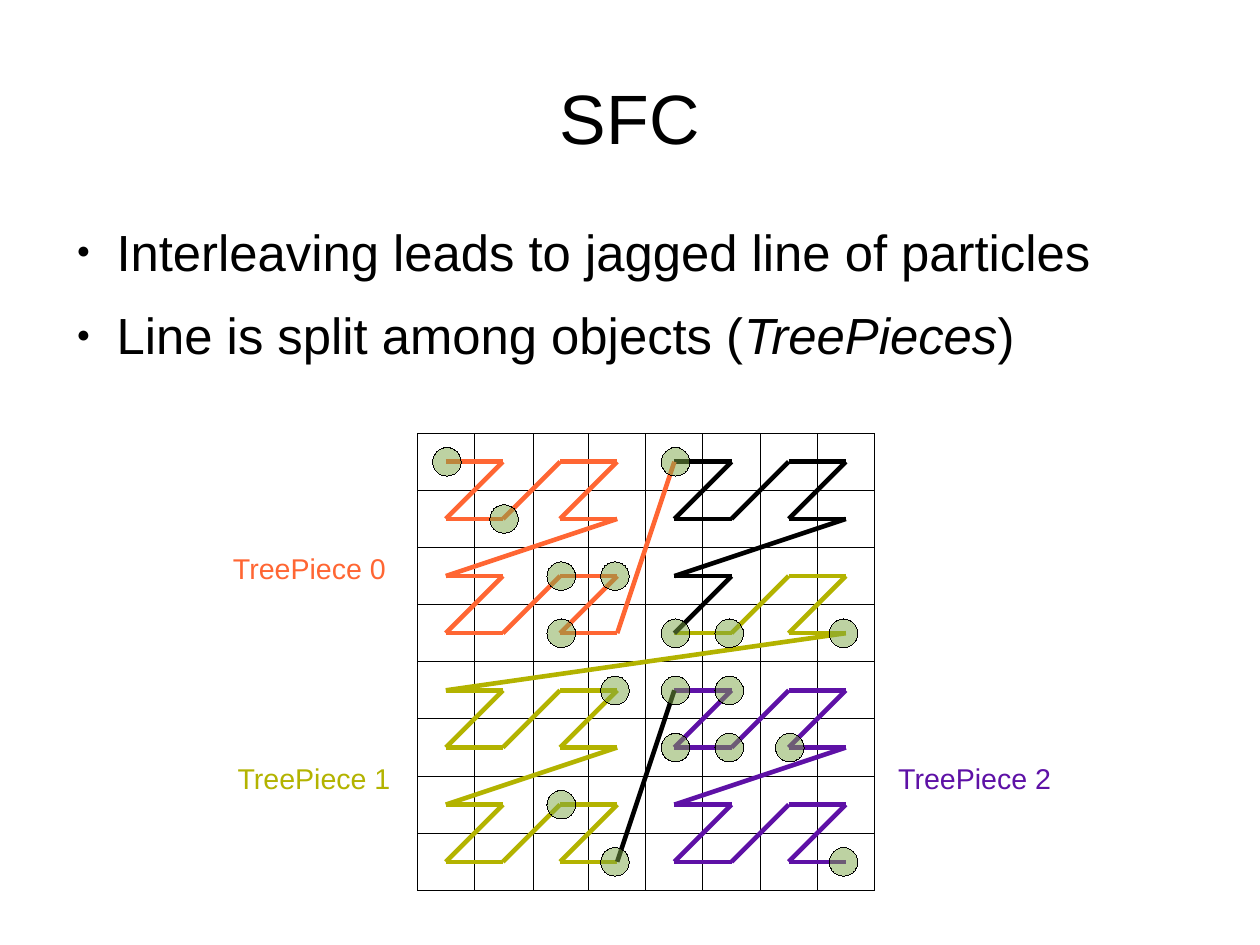
from lxml.etree import SubElement
from pptx import Presentation
from pptx.dml.color import RGBColor
from pptx.enum.shapes import MSO_CONNECTOR, MSO_SHAPE
from pptx.enum.text import MSO_ANCHOR, MSO_AUTO_SIZE, PP_ALIGN
from pptx.oxml.ns import qn
from pptx.util import Cm, Inches, Pt

THEME = {
    "font": "Arial",
    "ink": "000000", "piece 0": "FF6633", "piece 1": "B3B300", "piece 2": "5E11A6",
    "particle": "7DA647", "particle alpha": 50,
    "title size": 44, "bullet size": 32, "label size": 18,
    "hairline": 0.01, "curve width": 2.89,
}

TITLE = "SFC"
BULLETS = [
    [("Interleaving leads to jagged line of particles", False)],
    [("Line is split among objects (", False), ("TreePieces", True), (")", False)],
]
PIECE_LABELS = [
    ("TreePiece 0", "piece 0", 1.94, 4.77),
    ("TreePiece 1", "piece 1", 1.98, 6.61),
    ("TreePiece 2", "piece 2", 7.76, 6.61),
]
CURVE_SECTIONS = [
    (range(0, 16), "piece 0"),
    (range(16, 26), "ink"),
    (range(26, 47), "piece 1"),
    (range(47, 48), "ink"),
    (range(48, 63), "piece 2"),
]
PARTICLE_CELLS = [
    (0, 0), (1, 1), (4, 0), (2, 3), (3, 2), (4, 4), (5, 4), (4, 5), (3, 4),
    (4, 3), (5, 3), (7, 3), (7, 7), (2, 6), (3, 7), (2, 2), (6, 5), (5, 5),
]

CELLS, CELL = 8, 0.5
GRID_LEFT, GRID_TOP, GRID_SIDE = 3.65, 3.79, CELLS * CELL
COLUMN_NUDGE = {2: 0.02}
PARTICLE_SIZE = 0.25
PARTICLE_SHIFT = {3: -0.02, 5: -0.02, 7: -0.02}


def color(name):
    return RGBColor.from_string(THEME[name])


def cell_center(column, row):
    return GRID_LEFT + (column + 0.5) * CELL, GRID_TOP + (row + 0.5) * CELL


def curve_point(index):
    column = sum((index >> 2 * bit & 1) << bit for bit in range(3))
    row = sum((index >> 2 * bit + 1 & 1) << bit for bit in range(3))
    return cell_center(column, row)


def add_text_frame(slide, left, top, width, height, margins=(0, 0)):
    frame = slide.shapes.add_textbox(
        Inches(left), Inches(top), Inches(width), Inches(height)).text_frame
    frame.word_wrap = True
    frame.margin_left = frame.margin_right = Inches(margins[0])
    frame.margin_top = frame.margin_bottom = Inches(margins[1])
    return frame


def add_run(paragraph, text, size, ink="ink", italic=False):
    run = paragraph.add_run()
    run.text = text
    run.font.name = THEME["font"]
    run.font.size = Pt(THEME[size])
    run.font.color.rgb = color(ink)
    run.font.italic = italic


def add_bullet(paragraph):
    paragraph.space_after = Pt(14.2)
    properties = paragraph._p.get_or_add_pPr()
    properties.set("marL", str(Inches(0.47)))
    properties.set("indent", str(Inches(-0.35)))
    bullet_color = SubElement(properties, qn("a:buClr"))
    SubElement(bullet_color, qn("a:srgbClr"), val=THEME["ink"])
    SubElement(properties, qn("a:buSzPct"), val="45000")
    SubElement(properties, qn("a:buFont"), typeface=THEME["font"])
    SubElement(properties, qn("a:buChar"), char="●")


def add_line(slide, start, end, ink, width):
    line = slide.shapes.add_connector(
        MSO_CONNECTOR.STRAIGHT, *(Inches(value) for value in (*start, *end)))
    line.line.color.rgb = color(ink)
    line.line.width = Pt(THEME[width])
    SubElement(line._element.spPr, qn("a:effectLst"))
    return line


def add_outlined(slide, preset, left, top, size):
    shape = slide.shapes.add_shape(
        preset, Inches(left), Inches(top), Inches(size), Inches(size))
    shape.shadow.inherit = False
    shape.line.color.rgb = color("ink")
    shape.line.width = Pt(THEME["hairline"])
    return shape


def add_grid(slide):
    border = add_outlined(slide, MSO_SHAPE.RECTANGLE, GRID_LEFT, GRID_TOP, GRID_SIDE)
    border.fill.background()
    right, bottom = GRID_LEFT + GRID_SIDE, GRID_TOP + GRID_SIDE
    for step in range(1, CELLS):
        y = GRID_TOP + step * CELL
        x = GRID_LEFT + step * CELL + COLUMN_NUDGE.get(step, 0)
        row_line = add_line(slide, (GRID_LEFT, y), (right, y), "ink", "hairline")
        column_line = add_line(slide, (x, GRID_TOP), (x, bottom), "ink", "hairline")
        if step == CELLS // 2:
            row_line.begin_connect(border, 1)
            row_line.end_connect(border, 3)
            column_line.begin_connect(border, 0)
            column_line.end_connect(border, 2)


def add_curve(slide):
    inks = {index: ink for section, ink in CURVE_SECTIONS for index in section}
    for index in sorted(inks, key=lambda i: i ^ (i + 1)):
        add_line(slide, curve_point(index), curve_point(index + 1),
                 inks[index], "curve width")


def add_particle(slide, column, row):
    x, y = cell_center(column, row)
    left = x - PARTICLE_SIZE / 2 + PARTICLE_SHIFT.get(column, 0.01)
    particle = add_outlined(
        slide, MSO_SHAPE.OVAL, left, y - PARTICLE_SIZE / 2, PARTICLE_SIZE)
    particle.fill.solid()
    particle.fill.fore_color.rgb = color("particle")
    tint = particle._element.spPr.find(qn("a:solidFill")).find(qn("a:srgbClr"))
    SubElement(tint, qn("a:alpha"), val=str(THEME["particle alpha"] * 1000))


def main():
    deck = Presentation()
    deck.slide_width, deck.slide_height = Cm(28), Cm(21)
    slide = deck.slides.add_slide(deck.slide_layouts[6])

    title = add_text_frame(slide, 0.55, 0.38, 9.92, 1.28)
    title.vertical_anchor = MSO_ANCHOR.MIDDLE
    title.paragraphs[0].alignment = PP_ALIGN.CENTER
    add_run(title.paragraphs[0], TITLE, "title size")

    body = add_text_frame(slide, 0.55, 1.93, 9.92, 1.57)
    for number, bullet in enumerate(BULLETS):
        paragraph = body.add_paragraph() if number else body.paragraphs[0]
        add_bullet(paragraph)
        for text, italic in bullet:
            add_run(paragraph, text, "bullet size", italic=italic)

    add_grid(slide)
    add_curve(slide)
    for column, row in PARTICLE_CELLS:
        add_particle(slide, column, row)

    for text, ink, left, top in PIECE_LABELS:
        label = add_text_frame(slide, left, top, 1.54, 0.38, (0.1, 0.05))
        label.word_wrap = False
        label.auto_size = MSO_AUTO_SIZE.SHAPE_TO_FIT_TEXT
        add_run(label.paragraphs[0], text, "label size", ink)

    deck.save("out.pptx")


if __name__ == "__main__":
    main()
